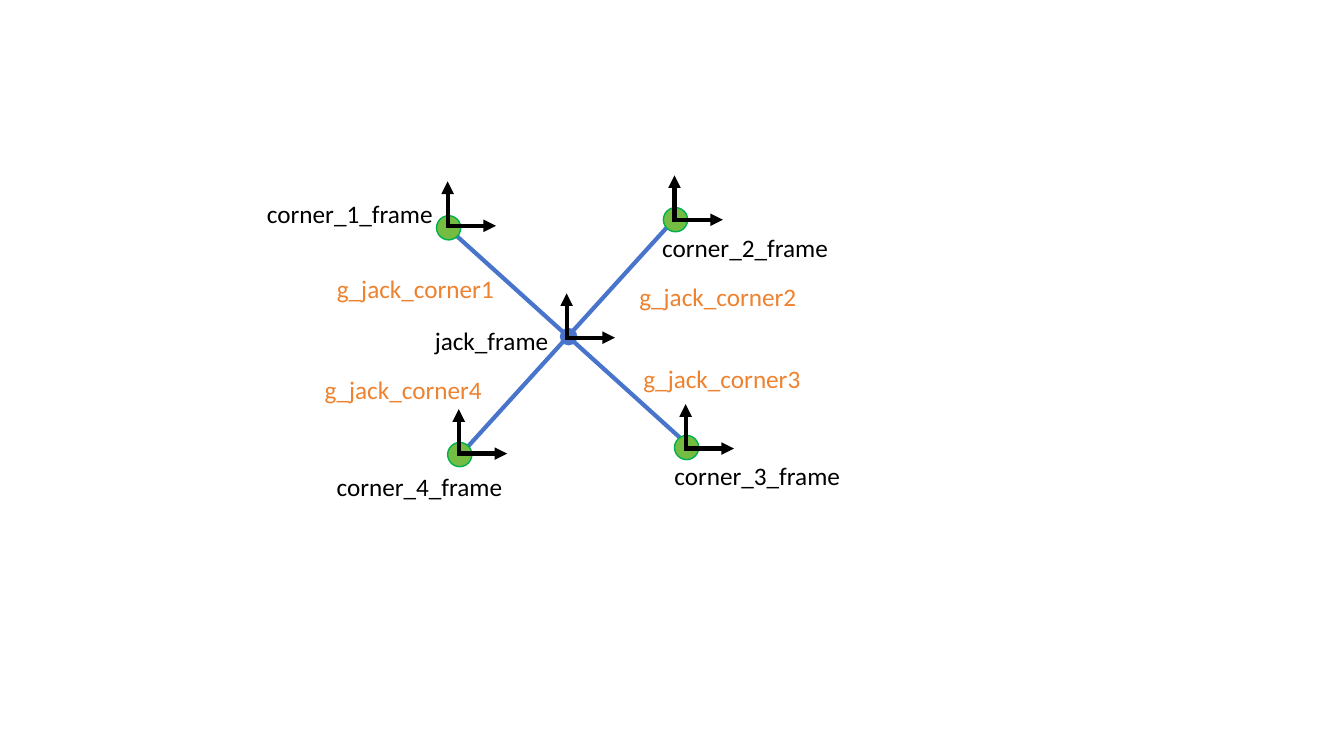
from lxml import etree
from pptx import Presentation
from pptx.dml.color import RGBColor
from pptx.enum.shapes import MSO_CONNECTOR, MSO_SHAPE
from pptx.enum.text import MSO_ANCHOR, PP_ALIGN
from pptx.oxml.ns import qn
from pptx.util import Pt

PX = 9144  # EMU in one px, 100 px to the inch
STRAIGHT = MSO_CONNECTOR.STRAIGHT
OVAL = MSO_SHAPE.OVAL
CENTER = PP_ALIGN.CENTER
TOP = MSO_ANCHOR.TOP

THEME = {
    "rod": RGBColor(0x48, 0x74, 0xCB),
    "corner": RGBColor(0x75, 0xBD, 0x42),
    "corner_edge": RGBColor(0x00, 0xB0, 0x50),
    "axis": RGBColor(0x00, 0x00, 0x00),
    "frame_text": RGBColor(0x00, 0x00, 0x00),
    "transform_text": RGBColor(0xEE, 0x82, 0x2F),
    "font": {"name": "Calibri", "size": Pt(18)},
    "line": Pt(3),
    "edge": Pt(1),
}
AXIS_UP, AXIS_RIGHT, AXIS_OVERLAP = 44, 48, 2
LABEL_HEIGHT = 40

presentation = Presentation()
presentation.slide_width = 1333 * PX
presentation.slide_height = 750 * PX
slide = presentation.slides.add_slide(presentation.slide_layouts[6])
diagram = slide.shapes.add_group_shape().shapes


def add_line(start, end, color, arrow=False):
    connector = diagram.add_connector(STRAIGHT, *(value * PX for value in start + end))
    connector.line.color.rgb = color
    connector.line.width = THEME["line"]
    if arrow:
        line = connector.line._get_or_add_ln()
        etree.SubElement(line, qn("a:tailEnd"), type="triangle")
    etree.SubElement(connector._element.spPr, qn("a:effectLst"))


def add_label(text, left, top, width, color):
    box = diagram.add_textbox(left * PX, top * PX, width * PX, LABEL_HEIGHT * PX)
    frame = box.text_frame
    frame.word_wrap = True
    frame.vertical_anchor = TOP
    paragraph = frame.paragraphs[0]
    paragraph.alignment = CENTER
    run = paragraph.add_run()
    run.text = text
    for attribute, value in THEME["font"].items():
        setattr(run.font, attribute, value)
    run.font.color.rgb = color


# Crossed rods of the jack
for start, end in [((444, 226), (683, 442)), ((455, 453), (672, 214))]:
    add_line(start, end, THEME["rod"])

# Dots: left, top, diameter, fill, edge
dots = [
    (433, 214, 24, "corner", "corner_edge"),
    (658, 206, 24, "corner", "corner_edge"),
    (444, 439, 24, "corner", "corner_edge"),
    (556, 326, 16, "rod", "rod"),
    (669, 432, 24, "corner", "corner_edge"),
]
for left, top, diameter, fill, edge in dots:
    dot = diagram.add_shape(OVAL, left * PX, top * PX, diameter * PX, diameter * PX)
    dot.shadow.inherit = False
    dot.fill.solid()
    dot.fill.fore_color.rgb = THEME[fill]
    dot.line.color.rgb = THEME[edge]
    dot.line.width = THEME["edge"]

# Coordinate frames: name, axis origin, label left, top and width
frames = [
    ("jack_frame", 562, 335, 397, 318, 181),
    ("corner_1_frame", 444, 224, 245, 192, 204),
    ("corner_4_frame", 455, 450, 314, 463, 204),
    ("corner_2_frame", 669, 218, 637, 226, 204),
    ("corner_3_frame", 680, 445, 649, 452, 204),
]
for name, x, y, left, top, width in frames:
    add_line((x, y), (x, y - AXIS_UP), THEME["axis"], arrow=True)
    add_line((x - AXIS_OVERLAP, y), (x + AXIS_RIGHT, y), THEME["axis"], arrow=True)
    add_label(name, left, top, width, THEME["frame_text"])

# Transforms from the jack to its corners
transforms = [
    ("g_jack_corner1", 310, 266),
    ("g_jack_corner2", 610, 274),
    ("g_jack_corner4", 298, 366),
    ("g_jack_corner3", 614, 356),
]
for name, left, top in transforms:
    add_label(name, left, top, 204, THEME["transform_text"])

presentation.save("out.pptx")
